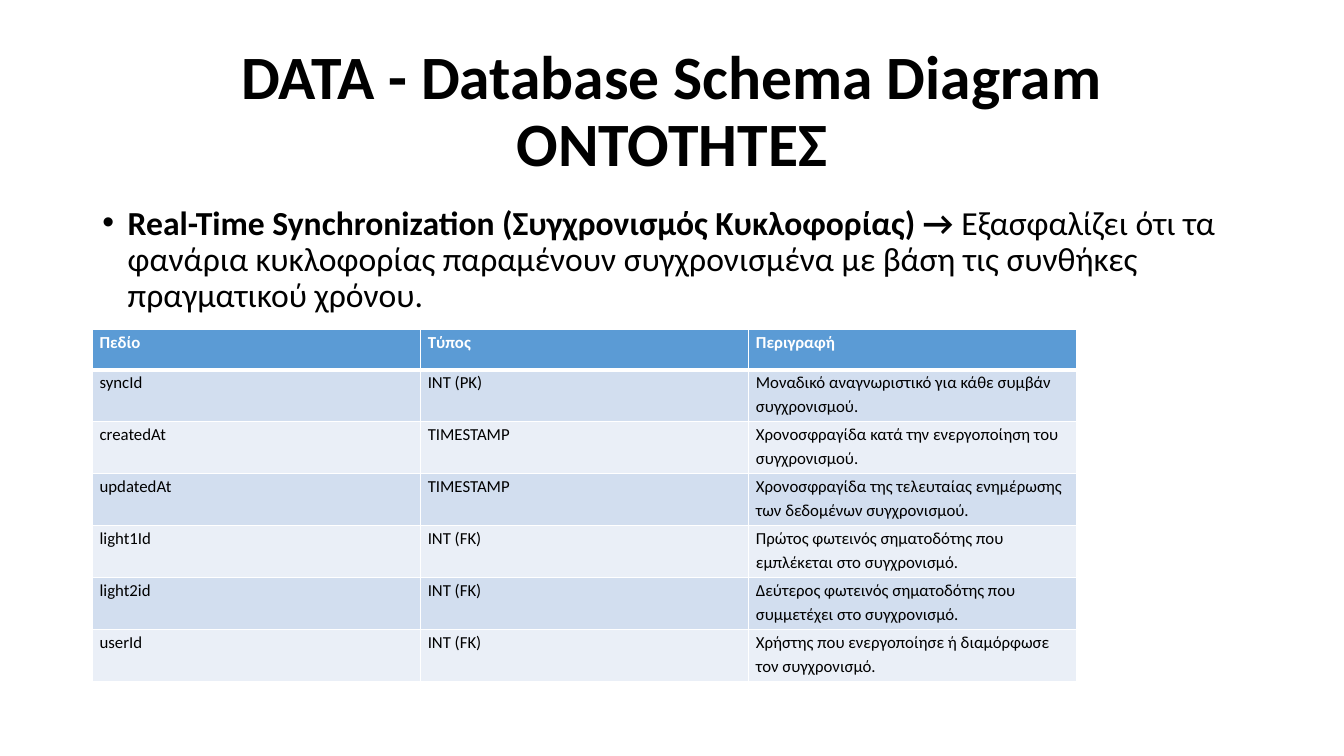
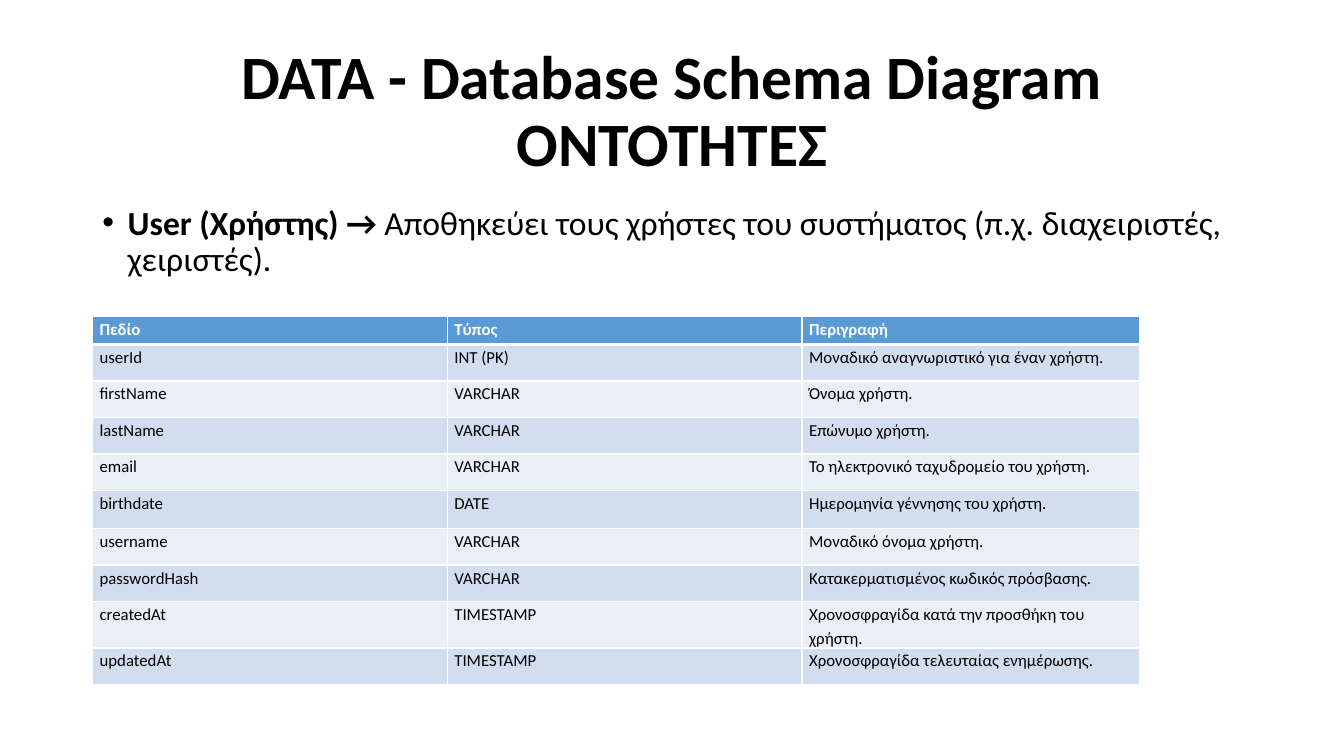
"""Build two slides that describe database entities with field tables."""
from lxml.etree import SubElement
from pptx import Presentation
from pptx.dml.color import RGBColor
from pptx.enum.text import MSO_ANCHOR, MSO_AUTO_SIZE, PP_ALIGN
from pptx.oxml.ns import qn
from pptx.util import Cm, Pt

FONT = "Calibri"
BLACK, WHITE = "000000", "FFFFFF"
HEADER_FILL = "5B9BD5"
BAND_FILLS = ["D2DEEF", "EAEFF7"]
TITLE = "DATA - Database Schema Diagram\nΟΝΤΟΤΗΤΕΣ"
HEADER = ("Πεδίο", "Τύπος", "Περιγραφή")
LEFT, CONTENT_WIDTH = Cm(2.33), Cm(29.21)

ENTITIES = [
    {
        "name": "Real-Time Synchronization (Συγχρονισμός Κυκλοφορίας) → ",
        "purpose": "Εξασφαλίζει ότι τα φανάρια κυκλοφορίας παραμένουν συγχρονισμένα "
                   "με βάση τις συνθήκες πραγματικού χρόνου.",
        "top": 8.31,
        "column_widths": [8.27] * 3,
        "row_heights": [1.01] + [1.31] * 6,
        "fields": [
            ("syncId", "INT (PK)", "Μοναδικό αναγνωριστικό για κάθε συμβάν συγχρονισμού."),
            ("createdAt", "TIMESTAMP", "Χρονοσφραγίδα κατά την ενεργοποίηση του συγχρονισμού."),
            ("updatedAt", "TIMESTAMP",
             "Χρονοσφραγίδα της τελευταίας ενημέρωσης των δεδομένων συγχρονισμού."),
            ("light1Id", "INT (FK)", "Πρώτος φωτεινός σηματοδότης που εμπλέκεται στο συγχρονισμό."),
            ("light2id", "INT (FK)",
             "Δεύτερος φωτεινός σηματοδότης που συμμετέχει στο συγχρονισμό."),
            ("userId", "INT (FK)", "Χρήστης που ενεργοποίησε ή διαμόρφωσε τον συγχρονισμό."),
        ],
    },
    {
        "name": "User (Χρήστης) → ",
        "purpose": "Αποθηκεύει τους χρήστες του συστήματος (π.χ. διαχειριστές, χειριστές).",
        "top": 7.98,
        "column_widths": [8.94, 8.94, 8.52],
        "row_heights": [0.7] + [0.92] * 4 + [0.96] + [0.92] * 4,
        "fields": [
            ("userId", "INT (PK)", "Μοναδικό αναγνωριστικό για έναν χρήστη."),
            ("firstName", "VARCHAR", "Όνομα χρήστη."),
            ("lastName", "VARCHAR", "Επώνυμο χρήστη."),
            ("email", "VARCHAR", "Το ηλεκτρονικό ταχυδρομείο του χρήστη."),
            ("birthdate", "DATE", "Ημερομηνία γέννησης του χρήστη."),
            ("username", "VARCHAR", "Μοναδικό όνομα χρήστη."),
            ("passwordHash", "VARCHAR", "Κατακερματισμένος κωδικός πρόσβασης."),
            ("createdAt", "TIMESTAMP", "Χρονοσφραγίδα κατά την προσθήκη του χρήστη."),
            ("updatedAt", "TIMESTAMP", "Χρονοσφραγίδα τελευταίας ενημέρωσης."),
        ],
    },
]


def rgb(value):
    return RGBColor.from_string(value)


def add_text(paragraph, text, size=12, color=BLACK, bold=False, spacing=0.9, align=PP_ALIGN.LEFT):
    paragraph.alignment = align
    paragraph.line_spacing = spacing
    for number, line in enumerate(text.split("\n")):
        if number:
            paragraph.add_line_break()
        run = paragraph.add_run()
        run.text = line
        run.font.name = FONT
        run.font.size = Pt(size)
        run.font.bold = bold
        run.font.color.rgb = rgb(color)


presentation = Presentation()
presentation.slide_width, presentation.slide_height = Cm(33.87), Cm(19.05)
title_only = presentation.slide_layouts[5]

for entity in ENTITIES:
    slide = presentation.slides.add_slide(title_only)

    title = slide.shapes.title
    title.left, title.top, title.width, title.height = LEFT, Cm(1.01), CONTENT_WIDTH, Cm(3.68)
    title.text_frame.vertical_anchor = MSO_ANCHOR.MIDDLE
    title.text_frame.auto_size = MSO_AUTO_SIZE.NONE
    add_text(title.text_frame.paragraphs[0], TITLE, size=44, bold=True, align=PP_ALIGN.CENTER)

    body = slide.shapes.add_textbox(LEFT, Cm(5.07), CONTENT_WIDTH, Cm(12.09))
    body.text_frame.word_wrap = True
    paragraph = body.text_frame.paragraphs[0]
    add_text(paragraph, entity["name"], size=24, bold=True)
    add_text(paragraph, entity["purpose"], size=24)
    paragraph.space_before = Pt(10)
    properties = paragraph._p.get_or_add_pPr()
    properties.set("marL", str(Cm(0.64)))
    properties.set("indent", str(-Cm(0.64)))
    SubElement(properties, qn("a:buFont"), typeface="Arial")
    SubElement(properties, qn("a:buChar"), char="•")

    rows = [HEADER] + entity["fields"]
    widths, heights = entity["column_widths"], entity["row_heights"]
    table = slide.shapes.add_table(len(rows), len(HEADER), LEFT, Cm(entity["top"]),
                                   Cm(sum(widths)), Cm(sum(heights))).table
    for column, width in zip(table.columns, widths):
        column.width = Cm(width)
    for row_number, (values, height) in enumerate(zip(rows, heights)):
        table.rows[row_number].height = Cm(height)
        is_header = row_number == 0
        fill = HEADER_FILL if is_header else BAND_FILLS[(row_number - 1) % 2]
        borders = {"lnL": 1, "lnR": 1, "lnT": 3 if row_number == 1 else 1,
                   "lnB": 3 if is_header else 1}
        for column_number, value in enumerate(values):
            cell = table.cell(row_number, column_number)
            cell.margin_left = cell.margin_right = Cm(0.18)
            cell.margin_top = cell.margin_bottom = 0
            cell_properties = cell._tc.get_or_add_tcPr()
            for side, points in borders.items():
                line = SubElement(cell_properties, qn(f"a:{side}"), w=str(Pt(points)))
                line_fill = SubElement(line, qn("a:solidFill"))
                SubElement(line_fill, qn("a:srgbClr"), val=WHITE)
            cell.fill.solid()
            cell.fill.fore_color.rgb = rgb(fill)
            add_text(cell.text_frame.paragraphs[0], value, color=WHITE if is_header else BLACK,
                     bold=is_header, spacing=1.15)

presentation.save("out.pptx")
